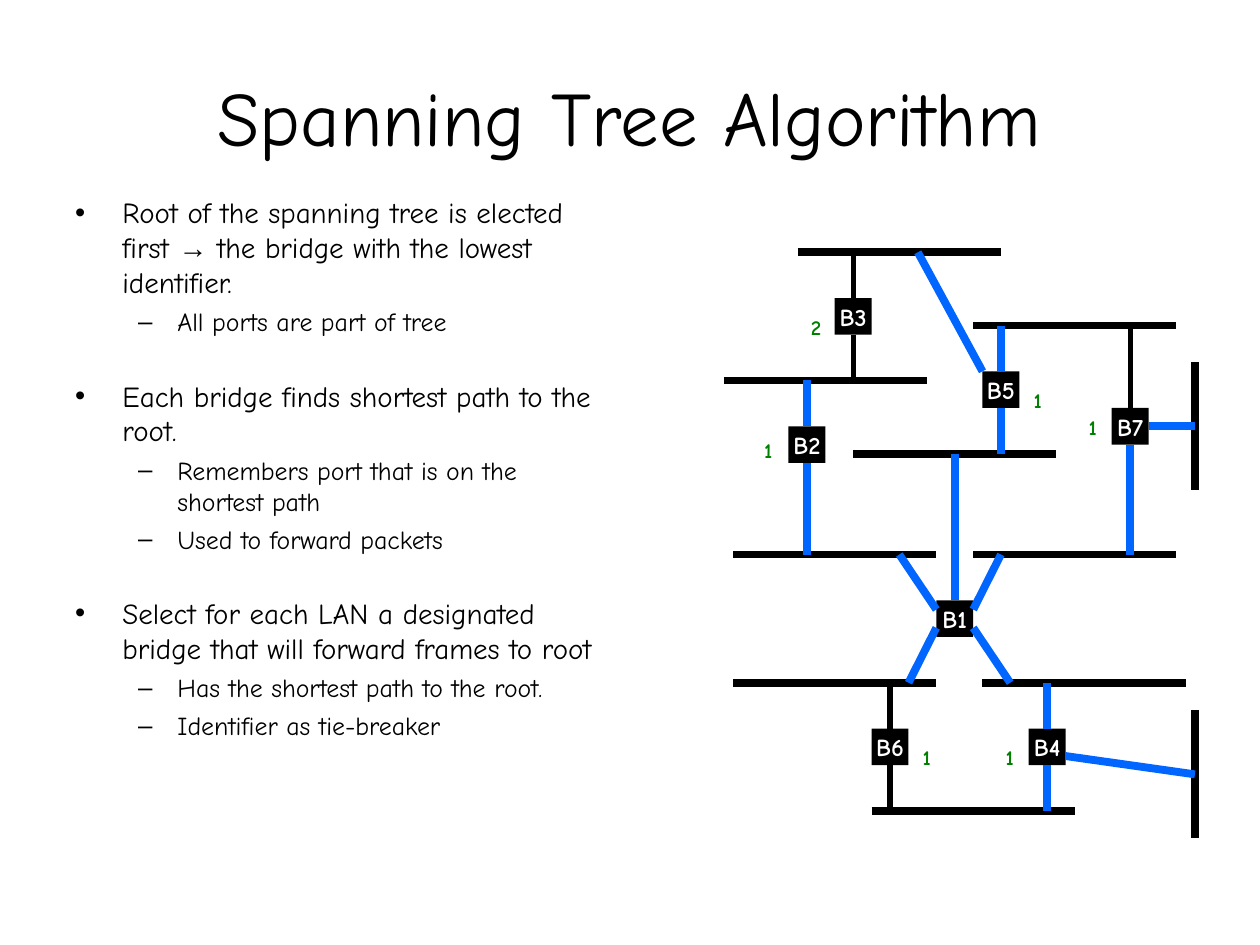
import pptx
import pptx.dml.color
import pptx.enum.shapes
import pptx.enum.text
import pptx.util
from pptx.oxml.ns import qn
import lxml.etree

BLACK = pptx.dml.color.RGBColor(0x00, 0x00, 0x00)
WHITE = pptx.dml.color.RGBColor(0xFF, 0xFF, 0xFF)
BLUE = pptx.dml.color.RGBColor(0x00, 0x66, 0xFF)
GREEN = pptx.dml.color.RGBColor(0x00, 0x80, 0x00)

EMU_PER_PX = 3175
FONT = "Comic Neue"
TOP, LEFT, BOTTOM, RIGHT = range(4)

OUTLINE = [
    ("Root of the spanning tree is elected first → the bridge with the lowest identifier.",
     ["All ports are part of tree"]),
    ("Each bridge finds shortest path to the root.",
     ["Remembers port that is on the shortest path", "Used to forward packets"]),
    ("Select for each LAN a designated bridge that will forward frames to root",
     ["Has the shortest path to the root.", "Identifier as tie-breaker"]),
]

GRID_COLUMNS, GRID_ROWS = 51, 61
BRIDGE_CELLS = 4
BRIDGES = {
    "B3": (12, 5), "B7": (42, 17), "B5": (28, 13), "B2": (7, 19),
    "B1": (23, 38), "B4": (33, 52), "B6": (16, 52),
}
COSTS = [("1", 64, 410), ("2", 171, 128), ("1", 807, 358),
         ("1", 681, 295), ("1", 427, 1113), ("1", 617, 1113)]

LAN_COLUMNS, LAN_ROWS = 22, 14
HORIZONTAL_LANS = [(8, 0), (0, 14), (14, 22), (1, 33), (1, 47),
                   (16, 61), (27, 8), (27, 33), (28, 47)]
VERTICAL_LANS = [12, 50]

BLOCKED_PORTS = [("B3", TOP, 0), ("B3", BOTTOM, 14), ("B7", TOP, 8),
                 ("B6", TOP, 47), ("B6", BOTTOM, 61)]
TREE_PORTS = [("B2", TOP, 14), ("B2", BOTTOM, 33), ("B5", TOP, 8),
              ("B5", BOTTOM, 22), ("B7", BOTTOM, 33), ("B7", RIGHT, GRID_COLUMNS),
              ("B1", TOP, 22), ("B4", TOP, 47), ("B4", BOTTOM, 61)]
TREE_DIAGONALS = [(21, 0, 28, 13), (27, 41, 31, 47), (30, 33, 27, 39),
                  (19, 33, 23, 39), (23, 41, 20, 47), (GRID_COLUMNS, 57, 37, 55)]


def px(value):
    return pptx.util.Emu(round(value * EMU_PER_PX))


def add_run(paragraph, text, size, color=BLACK, bold=False, font=FONT):
    run = paragraph.add_run()
    run.text = text
    run.font.name = font
    run.font.size = pptx.util.Pt(size)
    run.font.bold = bold
    run.font.color.rgb = color


def add_text_box(slide, left, top, width, height, wrap=True):
    shape = slide.shapes.add_textbox(px(left), px(top), px(width), px(height))
    shape.text_frame.word_wrap = wrap
    return shape.text_frame


def add_line(slide, start_x, start_y, end_x, end_y, color, weight):
    line = slide.shapes.add_connector(
        pptx.enum.shapes.MSO_CONNECTOR.STRAIGHT, start_x, start_y, end_x, end_y)
    line.line.color.rgb = color
    line.line.width = pptx.util.Pt(weight)
    properties = line._element.find(qn("p:spPr"))
    lxml.etree.SubElement(properties, qn("a:effectLst"))
    return line


def set_bullet(paragraph, character, margin, hanging):
    properties = paragraph._p.get_or_add_pPr()
    properties.set("marL", str(px(margin)))
    properties.set("indent", str(-px(hanging)))
    lxml.etree.SubElement(properties, qn("a:buFont"), typeface="Arial")
    lxml.etree.SubElement(properties, qn("a:buChar"), char=character)


def add_title(slide, left, top, width, height):
    frame = add_text_box(slide, left, top, width, height)
    frame.vertical_anchor = pptx.enum.text.MSO_ANCHOR.MIDDLE
    paragraph = frame.paragraphs[0]
    paragraph.alignment = pptx.enum.text.PP_ALIGN.CENTER
    add_run(paragraph, "Spanning Tree Algorithm", 44)


def add_outline(slide, left, top, width, height):
    frame = add_text_box(slide, left, top, width, height)
    for index, (heading, details) in enumerate(OUTLINE):
        paragraph = frame.add_paragraph() if index else frame.paragraphs[0]
        paragraph.space_before = pptx.util.Pt(23.5 if index else 4.5)
        set_bullet(paragraph, "•", 108, 108)
        before, arrow, after = heading.partition("→")
        add_run(paragraph, before, 16.6)
        if arrow:
            add_run(paragraph, arrow, 16.6, font="Arial")
            add_run(paragraph, after, 16.6)
        for detail in details:
            paragraph = frame.add_paragraph()
            paragraph.level = 1
            paragraph.space_before = pptx.util.Pt(4)
            set_bullet(paragraph, "–", 234, 90)
            add_run(paragraph, detail, 14.8)


def add_bridge(slide, name, left, top, right, bottom):
    bridge = slide.shapes.add_shape(
        pptx.enum.shapes.MSO_SHAPE.RECTANGLE, left, top, right - left, bottom - top)
    bridge.shadow.inherit = False
    bridge.fill.solid()
    bridge.fill.fore_color.rgb = BLACK
    bridge.line.fill.background()
    frame = bridge.text_frame
    frame.word_wrap = False
    frame.vertical_anchor = pptx.enum.text.MSO_ANCHOR.MIDDLE
    paragraph = frame.paragraphs[0]
    paragraph.alignment = pptx.enum.text.PP_ALIGN.CENTER
    add_run(paragraph, name, 14, WHITE, bold=True)
    return bridge


def add_network(slide, left, top, width, height):
    def grid_x(column):
        return px(left + width * column / GRID_COLUMNS)

    def grid_y(row):
        return px(top + height * row / GRID_ROWS)

    def add_segment(start_column, start_row, end_column, end_row, color):
        add_line(slide, grid_x(start_column), grid_y(start_row),
                 grid_x(end_column), grid_y(end_row), color, 4.5)

    def add_ports(ports, color, weight):
        for name, side, lan in ports:
            bridge = bridges[name]
            if side in (TOP, BOTTOM):
                x, y = bridge.left + bridge.width // 2, grid_y(lan)
            else:
                x, y = grid_x(lan), bridge.top + bridge.height // 2
            add_line(slide, x, y, x, y, color, weight).begin_connect(bridge, side)

    bridges = {
        name: add_bridge(slide, name, grid_x(column), grid_y(row),
                         grid_x(column + BRIDGE_CELLS), grid_y(row + BRIDGE_CELLS))
        for name, (column, row) in BRIDGES.items()
    }
    add_ports(BLOCKED_PORTS, BLACK, 3)
    for column, row in HORIZONTAL_LANS:
        add_segment(column, row, column + LAN_COLUMNS, row, BLACK)
    for row in VERTICAL_LANS:
        add_segment(GRID_COLUMNS, row, GRID_COLUMNS, row + LAN_ROWS, BLACK)
    add_ports(TREE_PORTS, BLUE, 4.5)
    for diagonal in TREE_DIAGONALS:
        add_segment(*diagonal, BLUE)
    for cost, x, y in COSTS:
        frame = add_text_box(slide, left + x, top + y, 78, 86, wrap=False)
        add_run(frame.paragraphs[0], cost, 12, GREEN, bold=True)


def main():
    presentation = pptx.Presentation()
    presentation.slide_width = px(2886)
    presentation.slide_height = px(2165)
    slide = presentation.slides.add_slide(presentation.slide_layouts[6])
    add_title(slide, 144, 86, 2595, 360)
    add_outline(slide, 144, 432, 1273, 1440)
    add_network(slide, 1658, 578, 1079, 1280)
    presentation.save("out.pptx")


if __name__ == "__main__":
    main()
